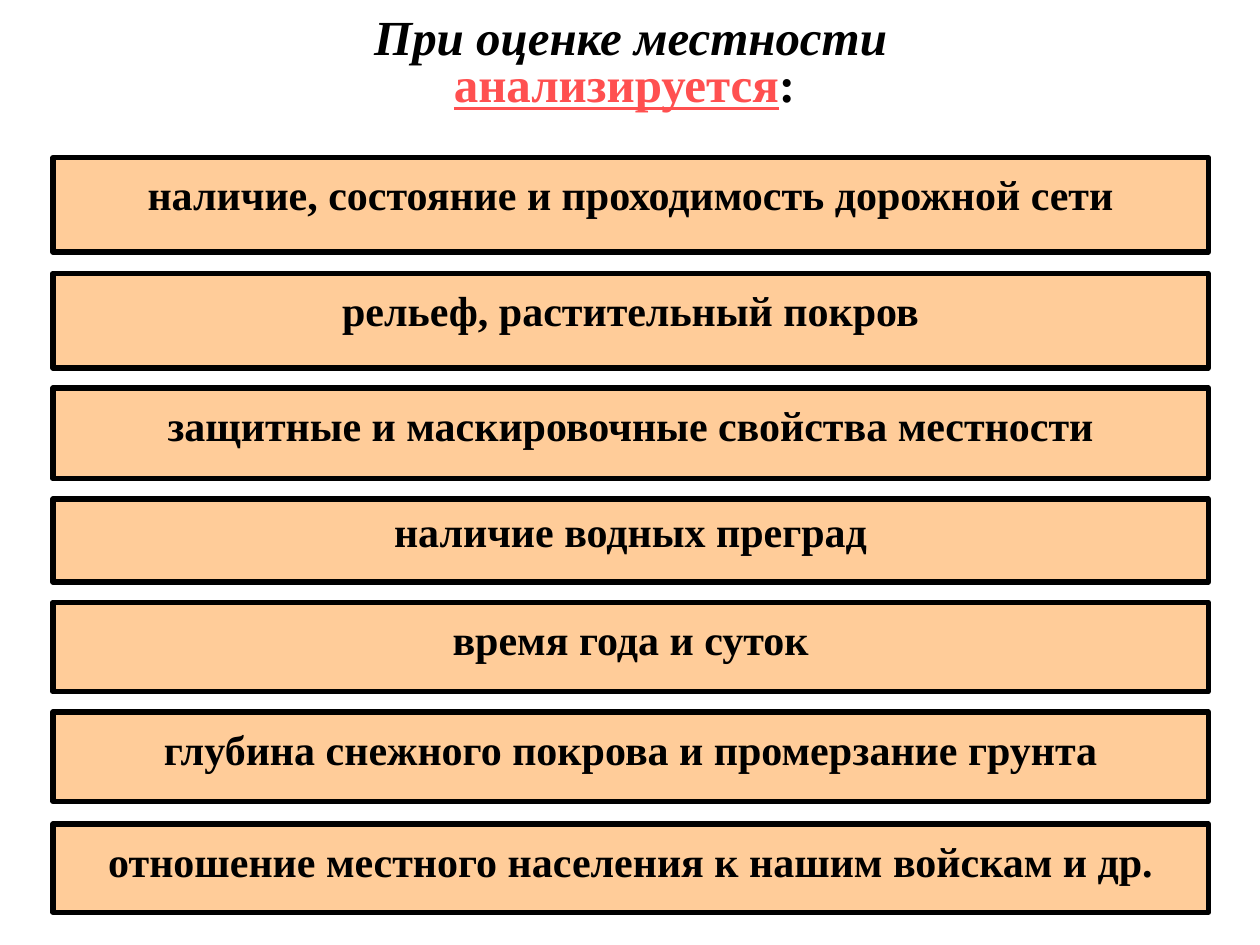
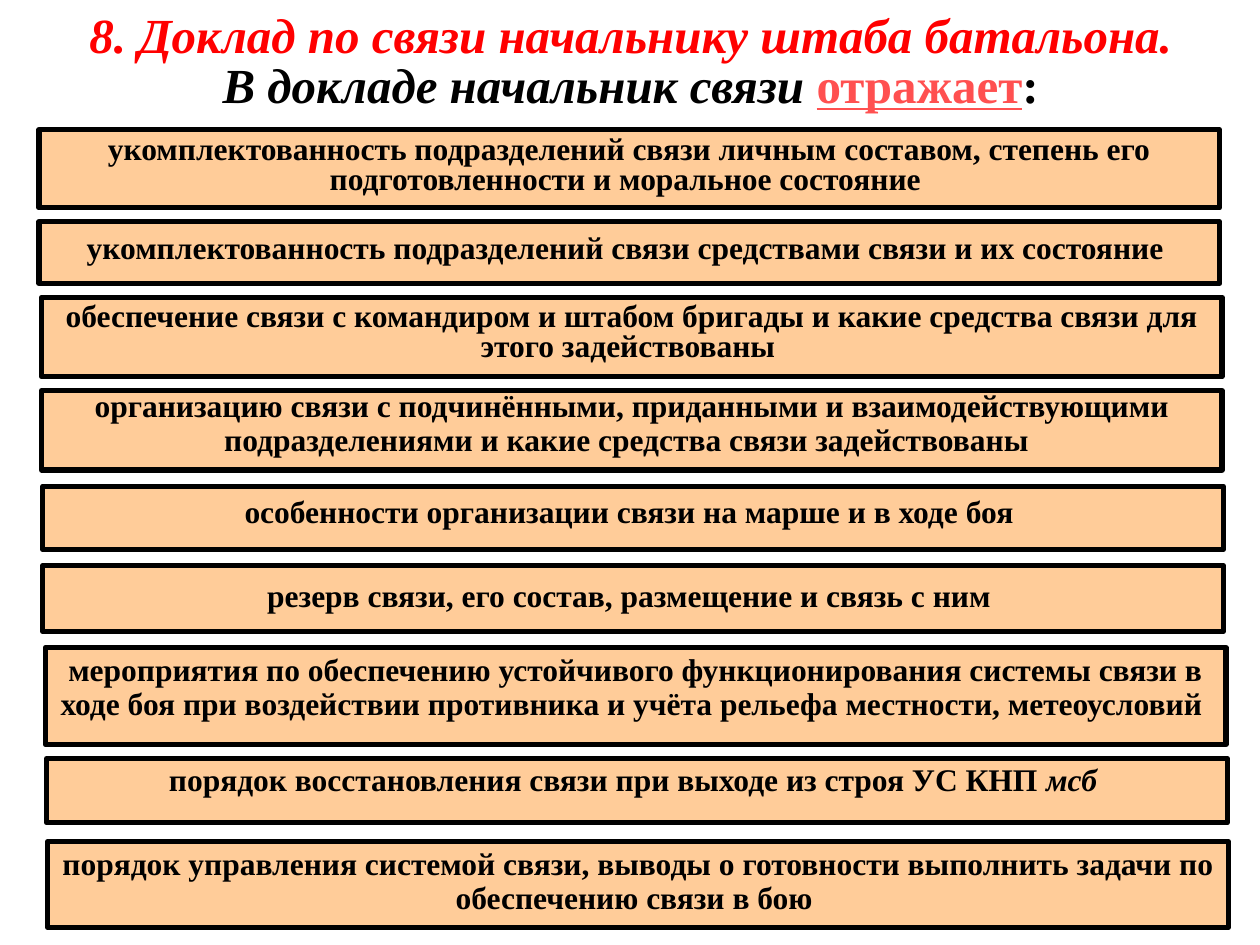
from pptx import Presentation
from pptx.dml.color import RGBColor
from pptx.enum import shapes, text
from pptx.util import Inches, Pt

# Shared look
FONT = "Times New Roman"
BLACK, RED, CORAL, PEACH = "000000", "FF0000", "FF5050", "FFCC99"
TITLE_SIZE = 28
TITLE_ONLY = 5


def colour(value):
    return RGBColor.from_string(value)


def add_span(para, words, size, shade=BLACK, bold=True, italic=False, underline=False):
    span = para.add_run()
    span.text = words
    font = span.font
    font.name, font.size = FONT, Pt(size)
    font.bold, font.italic, font.underline = bold, italic, underline
    font.color.rgb = colour(shade)


def prepare_frame(shape):
    frame = shape.text_frame
    frame.word_wrap = True
    frame.auto_size = text.MSO_AUTO_SIZE.NONE
    frame.vertical_anchor = text.MSO_ANCHOR.TOP
    frame.margin_left = frame.margin_right = Inches(0.1)
    frame.margin_top = frame.margin_bottom = Inches(0.05)
    return frame


def format_para(para, spacing):
    para.alignment = text.PP_ALIGN.CENTER
    para.line_spacing = spacing
    para.space_before = Pt(0)


def place_title(page, top, height, lines):
    """Each line is its spacing and a list of (words, span style)."""
    title = page.shapes.title
    title.left, title.top = Inches(0.42), Inches(top)
    title.width, title.height = Inches(9.17), Inches(height)
    frame = prepare_frame(title)
    for index, (spacing, spans) in enumerate(lines):
        para = frame.add_paragraph() if index else frame.paragraphs[0]
        format_para(para, spacing)
        for words, style in spans:
            add_span(para, words, TITLE_SIZE, **style)


def add_band(page, left, top, width, height, spacing, words, size):
    """Draw one bordered band and return its paragraph."""
    band = page.shapes.add_shape(shapes.MSO_SHAPE.RECTANGLE, Inches(left),
                                 Inches(top), Inches(width), Inches(height))
    band.shadow.inherit = False
    band.fill.solid()
    band.fill.fore_color.rgb = colour(PEACH)
    band.line.color.rgb = colour(BLACK)
    band.line.width = Pt(3)
    para = prepare_frame(band).paragraphs[0]
    format_para(para, spacing)
    add_span(para, words, size)
    return para


def build_terrain(deck):
    page = deck.slides.add_slide(deck.slide_layouts[TITLE_ONLY])
    place_title(page, 0, 1.1, [
        (1.0, [("При оценке местности", {"italic": True})]),
        (0.8, [("анализируется", {"shade": CORAL, "underline": True}), (": ", {})]),
    ])
    # Top, height, line spacing, wording
    factors = [
        (1.25, 0.75, 1.1, "наличие, состояние и проходимость дорожной сети"),
        (2.17, 0.75, 1.1, "рельеф, растительный покров"),
        (3.08, 0.72, 1.1, "защитные и маскировочные свойства местности"),
        (3.96, 0.66, 1.0, "наличие водных преград"),
        (4.78, 0.71, 1.1, "время года и суток"),
        (5.65, 0.71, 1.1, "глубина снежного покрова и промерзание грунта"),
        (6.54, 0.70, 1.1, "отношение местного населения к нашим войскам и др."),
    ]
    for top, height, spacing, words in factors:
        add_band(page, 0.42, top, 9.17, height, spacing, words, 24)


def build_report(deck):
    page = deck.slides.add_slide(deck.slide_layouts[TITLE_ONLY])
    place_title(page, 0.11, 0.64, [
        (0.7, [("8. Доклад по связи начальнику штаба батальона.",
                {"shade": RED, "italic": True})]),
        (0.9, [("В докладе начальник связи ", {"italic": True}),
               ("отражает", {"shade": CORAL, "underline": True}), (":", {})]),
    ])
    # Left, top, height, line spacing, wording, closing span style
    topics = [
        (0.31, 1.03, 0.62, 0.8, "укомплектованность подразделений связи личным составом, "
         "степень его подготовленности и моральное состояние ", None),
        (0.31, 1.76, 0.49, 1.0, "укомплектованность подразделений связи средствами связи "
         "и их состояние ", None),
        (0.33, 2.36, 0.63, 0.8, "обеспечение связи с командиром и штабом бригады и какие "
         "средства связи для этого задействованы ", None),
        (0.33, 3.10, 0.63, 0.7, "организацию связи с подчинёнными, приданными и "
         "взаимодействующими подразделениями и какие средства связи задействованы",
         {"words": " ", "size": 24, "bold": False}),
        (0.34, 3.86, 0.50, 1.0, "особенности организации связи на марше и в ходе боя ", None),
        (0.34, 4.49, 0.52, 1.1, "резерв связи, его состав, размещение и связь с ним ", None),
        (0.36, 5.14, 0.77, 0.9, "мероприятия по обеспечению устойчивого функционирования "
         "системы связи в ходе боя при воздействии противника и учёта рельефа местности, "
         "метеоусловий ", None),
        (0.37, 6.02, 0.51, 0.9, "порядок восстановления связи при выходе из строя УС КНП ",
         {"words": "мсб ", "size": 18, "italic": True}),
        (0.38, 6.68, 0.68, 0.9, "порядок управления системой связи, выводы о готовности "
         "выполнить задачи по обеспечению связи в бою ", None),
    ]
    for left, top, height, spacing, words, closing in topics:
        para = add_band(page, left, top, 9.37, height, spacing, words, 18)
        if closing:
            add_span(para, **closing)


def main():
    deck = Presentation()
    deck.slide_width, deck.slide_height = Inches(10), Inches(7.5)
    build_terrain(deck)
    build_report(deck)
    deck.save("out.pptx")


if __name__ == "__main__":
    main()
